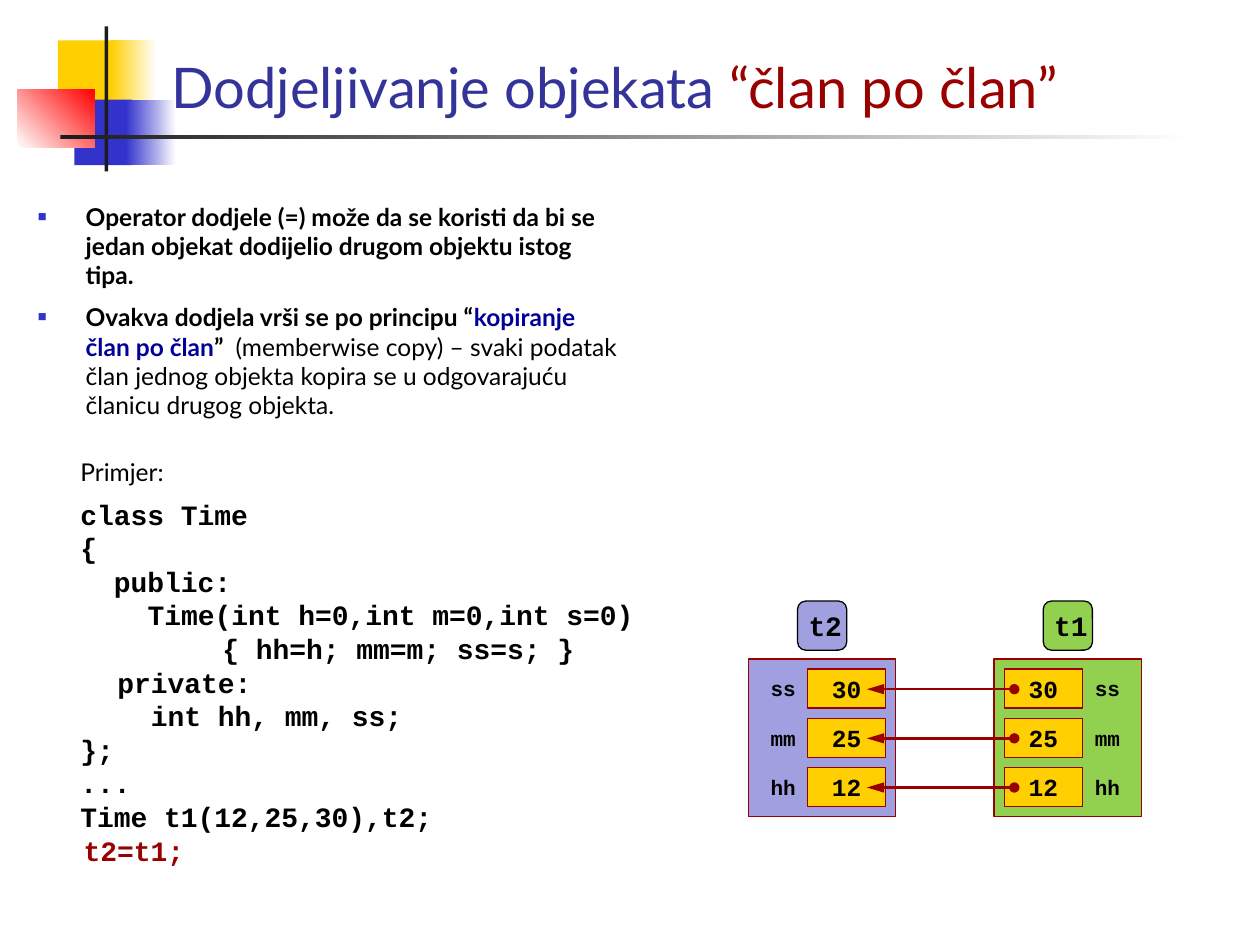
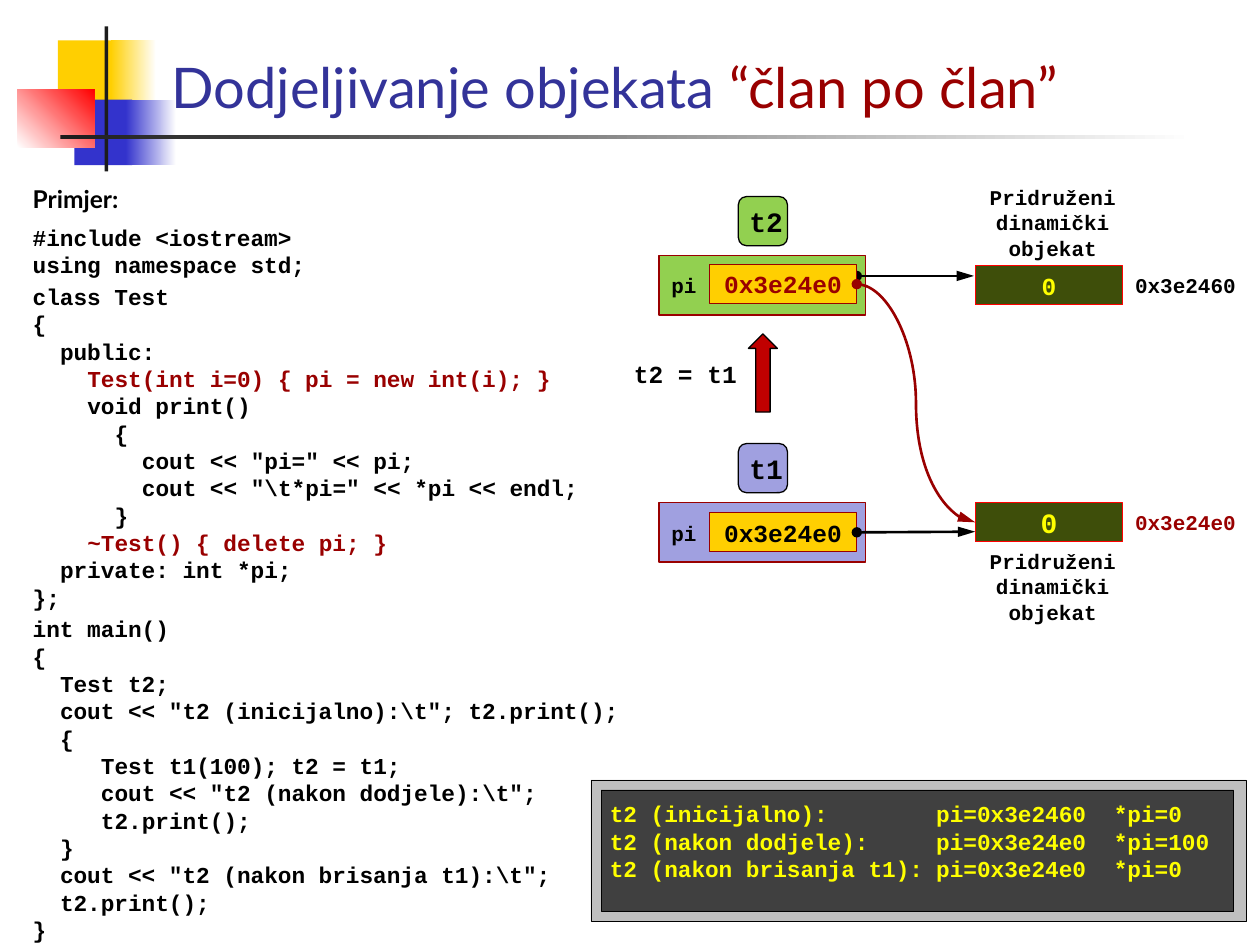
import pptx
import pptx.dml.color
import pptx.enum.shapes
import pptx.enum.text
import pptx.oxml
import pptx.oxml.ns
import pptx.util

Inches = pptx.util.Inches
Pt = pptx.util.Pt
Shape = pptx.enum.shapes.MSO_SHAPE
Connector = pptx.enum.shapes.MSO_CONNECTOR
Align = pptx.enum.text.PP_ALIGN
Anchor = pptx.enum.text.MSO_ANCHOR

BLACK, WHITE, DARK = "000000", "FFFFFF", "1C1C1C"
GOLD, BLUE, NAVY, RED = "FFCF01", "3333CC", "000099", "990000"
GREEN, LILAC, OLIVE, YELLOW = "92D050", "A0A0E0", "3E4E0A", "FFFF00"
SANS, MONO = "Lato", "Courier New"


def color(value):
    return pptx.dml.color.RGBColor.from_string(value)


def write(para, text, size=14, font=MONO, fill=BLACK, bold=True):
    span = para.add_run()
    span.text = text
    span.font.size = Pt(size)
    span.font.name = font
    span.font.bold = bold
    span.font.color.rgb = color(fill)


def add_xml(parent, tag, inner="", **attributes):
    """Append one DrawingML element to parent."""
    space = pptx.oxml.ns.nsdecls("a")
    listed = " ".join(f'{key}="{value}"' for key, value in attributes.items())
    parent.append(pptx.oxml.parse_xml(f"<a:{tag} {space} {listed}>{inner}</a:{tag}>"))


def indent(para, left, first=0.0, bullet=False):
    properties = para._p.get_or_add_pPr()
    properties.set("marL", str(Inches(left)))
    properties.set("indent", str(Inches(first)))
    if bullet:
        add_xml(properties, "buClr", f'<a:srgbClr val="{BLUE}"/>')
        add_xml(properties, "buSzPct", val=60000)
        add_xml(properties, "buChar", char="■")
    else:
        add_xml(properties, "buNone")


def next_para(frame):
    """Give the empty first paragraph, or a new one."""
    first = frame.paragraphs[0]
    return frame.add_paragraph() if first.runs else first


class Deck:
    def __init__(self):
        self.file = pptx.Presentation()
        self.file.slide_width = Inches(10)
        self.file.slide_height = Inches(7.5)
        self.layout = self.file.slide_layouts[1]
        self.page = None

    def add_page(self):
        first = self.page is None
        self.page = self.file.slides.add_slide(self.layout)
        if first:
            self.decorate_layout()
        title = self.page.shapes.title
        self.place(title, 1.26, 0.13, 8.74, 0.87)
        title.text_frame.vertical_anchor = Anchor.BOTTOM
        para = title.text_frame.paragraphs[0]
        para.alignment = Align.LEFT
        write(para, "Dodjeljivanje objekata ", 32, SANS, "333399", False)
        write(para, "“član po član”", 32, SANS, RED, False)

    def decorate_layout(self):
        """Draw the corner squares and rules, then move them into the layout."""
        motif = [
            (0.46, 0.32, 0.48, 0.52, GOLD),
            (0.88, 0.32, 0.36, 0.52, (GOLD, WHITE, 0)),
            (0.59, 0.79, 0.46, 0.52, BLUE),
            (1, 0.79, 0.4, 0.52, (BLUE, WHITE, 0)),
            (0.14, 0.71, 0.61, 0.46, (WHITE, "FF0000", 45)),
            (0.83, 0.21, 0.03, 1.15, DARK),
            (0.48, 1.07, 9, 0.03, (DARK, WHITE, 0)),
        ]
        tree = self.layout.shapes.element
        for position, (*area, fill) in enumerate(motif, start=2):
            tree.insert(position, self.shape(*area, fill).element)

    def place(self, holder, left, top, width, height):
        holder.left, holder.top = Inches(left), Inches(top)
        holder.width, holder.height = Inches(width), Inches(height)
        holder.text_frame.word_wrap = True
        holder.text_frame.auto_size = pptx.enum.text.MSO_AUTO_SIZE.NONE

    def body(self, *area):
        holder = self.page.placeholders[1]
        self.place(holder, *area)
        return holder.text_frame

    def shape(self, left, top, width, height, fill, line=None, weight=0.75, kind=Shape.RECTANGLE):
        """Add a preset shape; fill is a colour or (start, end, angle)."""
        box = self.page.shapes.add_shape(
            kind, Inches(left), Inches(top), Inches(width), Inches(height))
        box.shadow.inherit = False
        if isinstance(fill, tuple):
            *ends, angle = fill
            box.fill.gradient()
            box.fill.gradient_angle = angle
            for stop, end in zip(box.fill.gradient_stops, ends):
                stop.color.rgb = color(end)
        else:
            box.fill.solid()
            box.fill.fore_color.rgb = color(fill)
        if line:
            box.line.color.rgb = color(line)
            box.line.width = Pt(weight)
        else:
            box.line.fill.background()
        return box

    def text_box(self, *area):
        box = self.page.shapes.add_textbox(*(Inches(length) for length in area))
        box.text_frame.word_wrap = True
        return box.text_frame

    def caption(self, frame, *lines, align=Align.CENTER, **style):
        frame.vertical_anchor = Anchor.MIDDLE
        frame.word_wrap = True
        for line in lines:
            para = next_para(frame)
            para.alignment = align
            write(para, line, **style)

    def label(self, left, top, width, text, align=Align.CENTER, **style):
        self.caption(self.text_box(left, top, width, 0.31), text, align=align, **style)

    def cell(self, left, top, width, text, fill=GOLD, line=RED, **style):
        box = self.shape(left, top, width, 0.31, fill, line)
        self.caption(box.text_frame, text, **style)
        return box

    def name_tag(self, left, top, text, fill):
        tag = self.shape(left, top, 0.39, 0.39, fill, BLACK, kind=Shape.ROUNDED_RECTANGLE)
        tag.text_frame.margin_left = Inches(0.05)
        tag.text_frame.margin_right = 0
        self.caption(tag.text_frame, text, size=16)

    def arrow(self, start, end, line, kind=Connector.STRAIGHT, source=None, target=None):
        """Draw from a dot at start to an arrowhead at end."""
        link = self.page.shapes.add_connector(
            kind, *(Inches(length) for length in (*start, *end)))
        if source:
            link.begin_connect(source, 3)
        if target:
            link.end_connect(target, 1)
        link.line.color.rgb = color(line)
        link.line.width = Pt(1.5)
        properties = link.element.spPr
        stroke = properties.find(pptx.oxml.ns.qn("a:ln"))
        add_xml(stroke, "headEnd", type="oval", w="med", len="med")
        add_xml(stroke, "tailEnd", type="triangle", w="med", len="lg")
        add_xml(properties, "effectLst")

    def code(self, frame, lines, size, base=0.0, red=(), gaps=None):
        """Write (depth in characters, text) lines as indented code."""
        for depth, text in lines:
            para = next_para(frame)
            para.space_before = Pt((gaps or {}).get(text, 0))
            indent(para, base + depth * 0.6 * size / 72)
            write(para, text, size, fill=RED if text in red else BLACK)


def example_heading(frame, left, bold):
    para = frame.paragraphs[0]
    para.space_before = Pt(0)
    indent(para, left)
    write(para, "Primjer:", font=SANS, bold=bold)


def memberwise_page(deck):
    deck.add_page()
    points = [
        [("Operator dodjele (=) može da se koristi da bi se jedan objekat "
          "dodijelio drugom objektu istog tipa.", BLACK, True)],
        [("Ovakva dodjela vrši se po principu “", BLACK, True),
         ("kopiranje član po član", NAVY, True),
         ("”  ", BLACK, True),
         ("(memberwise copy) – svaki podatak član jednog objekta kopira se u "
          "odgovarajuću članicu drugog objekta.", BLACK, False)],
    ]
    frame = deck.body(0.2, 1.55, 4.8, 1.95)
    for number, spans in enumerate(points):
        para = next_para(frame)
        para.space_before = Pt(7 * number)
        indent(para, 0.38, -0.38, bullet=True)
        for text, fill, bold in spans:
            write(para, text, font=SANS, fill=fill, bold=bold)

    frame = deck.text_box(0.16, 3.58, 5, 3.72)
    example_heading(frame, 0.38, False)
    lines = [
        (0, "class Time"), (0, "{"), (2, "public:"),
        (4, "Time(int h=0,int m=0,int s=0)"),
        (8.45, "{ hh=h; mm=m; ss=s; }"),
        (2.2, "private:"), (4.2, "int hh, mm, ss;"), (0, "};"), (0, "..."),
        (0, "Time t1(12,25,30),t2;"), (0.2, "t2=t1;"),
    ]
    deck.code(frame, lines, 16, 0.38, red=("t2=t1;",), gaps={"class Time": 6})

    members = [("ss", "30"), ("mm", "25"), ("hh", "12")]
    objects = [("t1", GREEN, 7.89, 0.08, 0.7, Align.LEFT),
               ("t2", LILAC, 5.94, 0.47, 0, Align.CENTER)]
    for name, fill, left, cell_shift, label_shift, align in objects:
        deck.name_tag(left + 0.39, 4.77, name, fill)
        deck.shape(left, 5.23, 1.17, 1.25, fill, RED)
        for row, (member, value) in enumerate(members):
            top = 5.31 + 0.39 * row
            deck.cell(left + cell_shift, top, 0.62, value)
            deck.label(left + label_shift, top, 0.55, member, align, size=12)
    for row in range(len(members)):
        middle = 5.47 + 0.39 * row
        deck.arrow((8.05, middle), (6.88, middle), RED)


def pointer_page(deck):
    deck.add_page()
    frame = deck.body(0.16, 1.41, 5, 5.94)
    example_heading(frame, 0, True)
    constructor, destructor = "Test(int i=0) { pi = new int(i); }", "~Test() { delete pi; }"
    lines = [
        (0, "#include <iostream>"), (0, "using namespace std;"),
        (0, "class Test"), (0, "{"), (2, "public:"),
        (4, constructor), (4, "void print()"), (6, "{"),
        (8, 'cout << "pi=" << pi;'),
        (8, r'cout << "\t*pi=" << *pi << endl;'),
        (6, "}"), (4, destructor), (2, "private: int *pi;"), (0, "};"),
        (0, "int main()"), (0, "{"), (2, "Test t2;"),
        (2, r'cout << "t2 (inicijalno):\t"; t2.print();'),
        (2, "{"), (5, "Test t1(100); t2 = t1;"),
        (5, r'cout << "t2 (nakon dodjele):\t";'), (5, "t2.print();"), (2, "}"),
        (2, r'cout << "t2 (nakon brisanja t1):\t";'), (2, "t2.print();"), (0, "}"),
    ]
    deck.code(frame, lines, 13, red=(constructor, destructor),
              gaps={"#include <iostream>": 6, "class Test": 2.4, "int main()": 2.4})

    deck.shape(4.69, 6.19, 5.2, 1.12, "BFBFBF", BLACK, 0.25)
    deck.shape(4.77, 6.27, 5.02, 0.96, "404040", BLACK, 0.25)
    output = deck.text_box(4.84, 6.3, 4.88, 0.75)
    output.margin_left = output.margin_right = 0
    stops = "".join(f'<a:tab pos="{Inches(stop)}" algn="l"/>' for stop in (2.59, 4))
    for step, address, value in [("inicijalno", "0x3e2460", 0),
                                 ("nakon dodjele", "0x3e24e0", 100),
                                 ("nakon brisanja t1", "0x3e24e0", 0)]:
        para = next_para(output)
        add_xml(para._p.get_or_add_pPr(), "tabLst", stops)
        write(para, f"t2 ({step}):\tpi={address}\t*pi={value}", 13, fill=YELLOW)

    pointers, targets = [], []
    objects = [("t2", GREEN, 1.56, 2.1, RED, 2.11, 14, "0x3e2460", BLACK, 1.49),
               ("t1", LILAC, 3.52, 4.07, BLACK, 3.99, 16, "0x3e24e0", RED, 4.38)]
    for (name, fill, top, pointer_top, ink, target_top, value_size,
         address, address_ink, note_top) in objects:
        deck.name_tag(5.86, top, name, fill)
        deck.shape(5.23, top + 0.47, 1.64, 0.47, fill, RED)
        deck.label(5.23, pointer_top + 0.01, 0.47, "pi", Align.LEFT, size=12)
        if name == "t2":
            deck.arrow((6.8, 2.19), (7.73, 2.19), BLACK)
        pointers.append(deck.cell(5.63, pointer_top, 1.17, "0x3e24e0"))
        pointers[-1].text_frame.paragraphs[0].runs[0].font.color.rgb = color(ink)
        targets.append(deck.shape(7.74, target_top, 1.17, 0.31, OLIVE, "FF0000"))
        deck.caption(targets[-1].text_frame, "0", size=value_size, fill=YELLOW)
        deck.label(8.91, target_top, 1.09, address, Align.LEFT, size=12, fill=address_ink)
        note = deck.text_box(7.77, note_top, 1.17, 0.55)
        note.margin_left = note.margin_right = 0
        deck.caption(note, "Pridruženi", "dinamički", "objekat", size=12)

    deck.arrow((6.8, 4.22), (7.74, 4.22), BLACK, source=pointers[1])
    deck.arrow((6.8, 2.26), (7.74, 4.15), RED, Connector.CURVE, pointers[0], targets[1])
    deck.shape(5.94, 2.65, 0.23, 0.62, "C00000", BLACK, kind=Shape.UP_ARROW)
    deck.label(4.88, 2.81, 1.12, "t2 = t1")


def main():
    deck = Deck()
    memberwise_page(deck)
    pointer_page(deck)
    deck.file.save("out.pptx")


if __name__ == "__main__":
    main()
